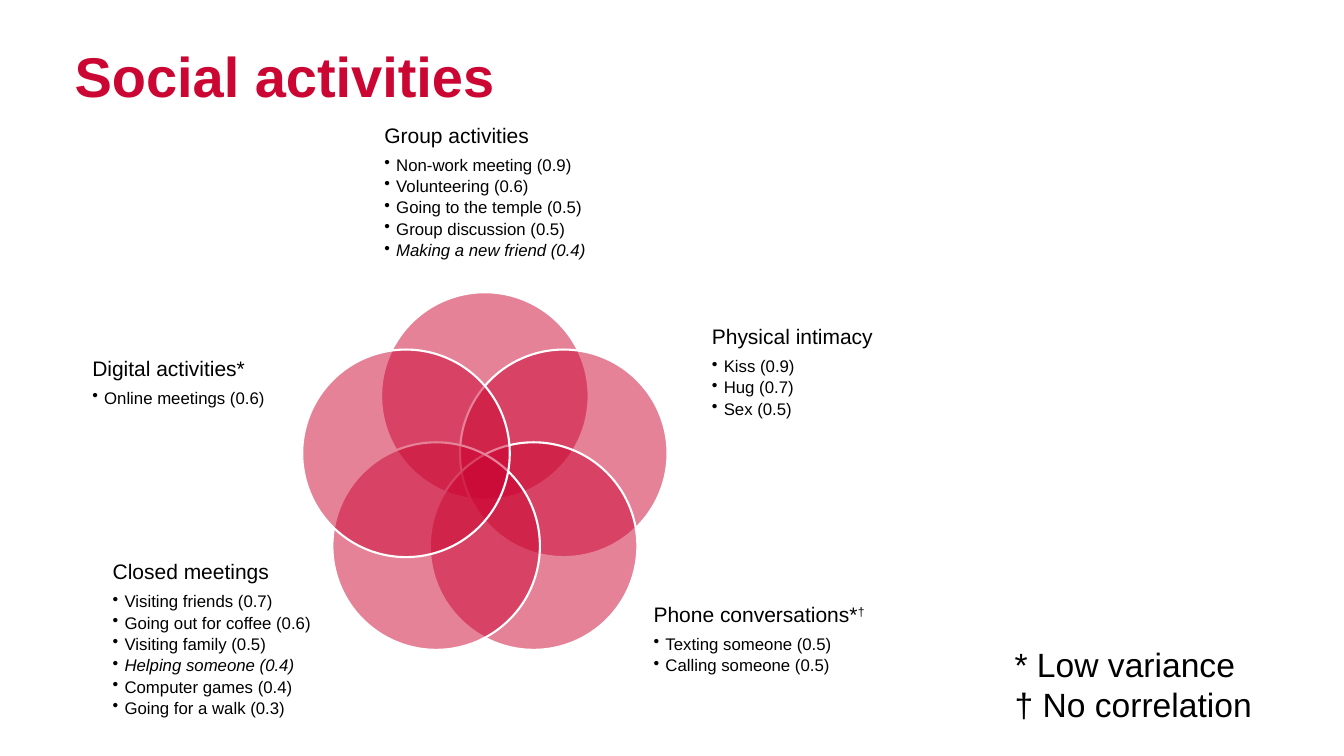
from math import cos, radians, sin

from lxml.etree import SubElement
from pptx import Presentation
from pptx.dml.color import RGBColor
from pptx.enum.shapes import MSO_SHAPE
from pptx.enum.text import MSO_ANCHOR
from pptx.oxml.ns import qn
from pptx.util import Cm, Pt

RED = RGBColor(0xCC, 0x06, 0x33)
WHITE = RGBColor(0xFF, 0xFF, 0xFF)
BLACK = RGBColor(0x00, 0x00, 0x00)

# Content
TITLE = "Social activities"
NOTES = ["* Low variance", "† No correlation"]
ITALIC = {"Making a new friend (0.4)", "Helping someone (0.4)"}
# heading, superscript, items, (left, top, width, height) in cm
GROUPS = [
    ("Group activities", "",
     ["Non-work meeting (0.9)", "Volunteering (0.6)", "Going to the temple (0.5)",
      "Group discussion (0.5)", "Making a new friend (0.4)"],
     (9.19, 3.1, 6.07, 3.51)),
    ("Physical intimacy", "",
     ["Kiss (0.9)", "Hug (0.7)", "Sex (0.5)"],
     (17.25, 7.49, 5.44, 3.81)),
    ("Phone conversations*", "†",
     ["Texting someone (0.5)", "Calling someone (0.5)"],
     (16.41, 14.22, 5.44, 3.81)),
    ("Closed meetings", "",
     ["Visiting friends (0.7)", "Going out for coffee (0.6)", "Visiting family (0.5)",
      "Helping someone (0.4)", "Computer games (0.4)", "Going for a walk (0.3)"],
     (2.62, 14.22, 5.44, 3.81)),
    ("Digital activities*", "",
     ["Online meetings (0.6)"],
     (1.78, 7.75, 5.44, 3.81)),
]

# Circles, in cm
CENTER_X, CENTER_Y = 12.22, 12.07
RING, DIAMETER = 2.09, 5.23

prs = Presentation()
prs.slide_width, prs.slide_height = Cm(33.87), Cm(19.05)
s = prs.slides.add_slide(prs.slide_layouts[6])


def add_box(left, top, width, height):
    tf = s.shapes.add_textbox(Cm(left), Cm(top), Cm(width), Cm(height)).text_frame
    tf.word_wrap = True
    return tf


def add_run(p, text, size=12, color=BLACK, bold=False, italic=False, superscript=False):
    r = p.add_run()
    r.text = text
    r.font.name, r.font.size = "Arial", Pt(size)
    r.font.color.rgb = color
    r.font.bold, r.font.italic = bold, italic
    if superscript:
        r._r.get_or_add_rPr().set("baseline", "30000")


def add_circle(index):
    angle = radians(360 / len(GROUPS) * index)
    left = CENTER_X + RING * sin(angle) - DIAMETER / 2
    top = CENTER_Y - RING * cos(angle) - DIAMETER / 2
    sp = s.shapes.add_shape(MSO_SHAPE.OVAL, Cm(left), Cm(top), Cm(DIAMETER), Cm(DIAMETER))
    sp.shadow.inherit = False
    sp.fill.solid()
    sp.fill.fore_color.rgb = RED
    color = sp.fill._xPr.find(qn("a:solidFill"))[0]
    SubElement(color, qn("a:alpha"), val="50000")
    sp.line.color.rgb = WHITE
    sp.line.width = Pt(1.5)


def add_group_text(heading, mark, items, box):
    tf = add_box(*box)
    tf.margin_left = tf.margin_right = tf.margin_top = tf.margin_bottom = 0
    tf.vertical_anchor = MSO_ANCHOR.MIDDLE
    tf._txBody.bodyPr.set("anchorCtr", "1")  # centre the block, keep lines left
    p = tf.paragraphs[0]
    p.line_spacing, p.space_after = 0.9, Pt(6.2)
    add_run(p, heading, size=15)
    if mark:
        add_run(p, mark, size=15, superscript=True)
    for item in items:
        p = tf.add_paragraph()
        p.level = 1
        pPr = p._p.get_or_add_pPr()
        pPr.set("marL", str(Cm(0.3)))
        pPr.set("indent", str(-Cm(0.3)))
        SubElement(pPr, qn("a:buChar"), char="•")
        p.line_spacing, p.space_after = 0.9, Pt(2.3)
        add_run(p, item, italic=item in ITALIC)


# Overlapping circles, clockwise from the top, each with its text
for i, group in enumerate(GROUPS):
    add_circle(i)
    add_group_text(*group)

# Title
p = add_box(1.63, 1.12, 30.33, 2.11).paragraphs[0]
p.line_spacing = 0.9
add_run(p, TITLE, size=40, color=RED, bold=True)

# Footnotes
tf = add_box(25.32, 16.1, 7.92, 2.31)
for i, note in enumerate(NOTES):
    p = tf.add_paragraph() if i else tf.paragraphs[0]
    add_run(p, note, size=24)

prs.save("out.pptx")
